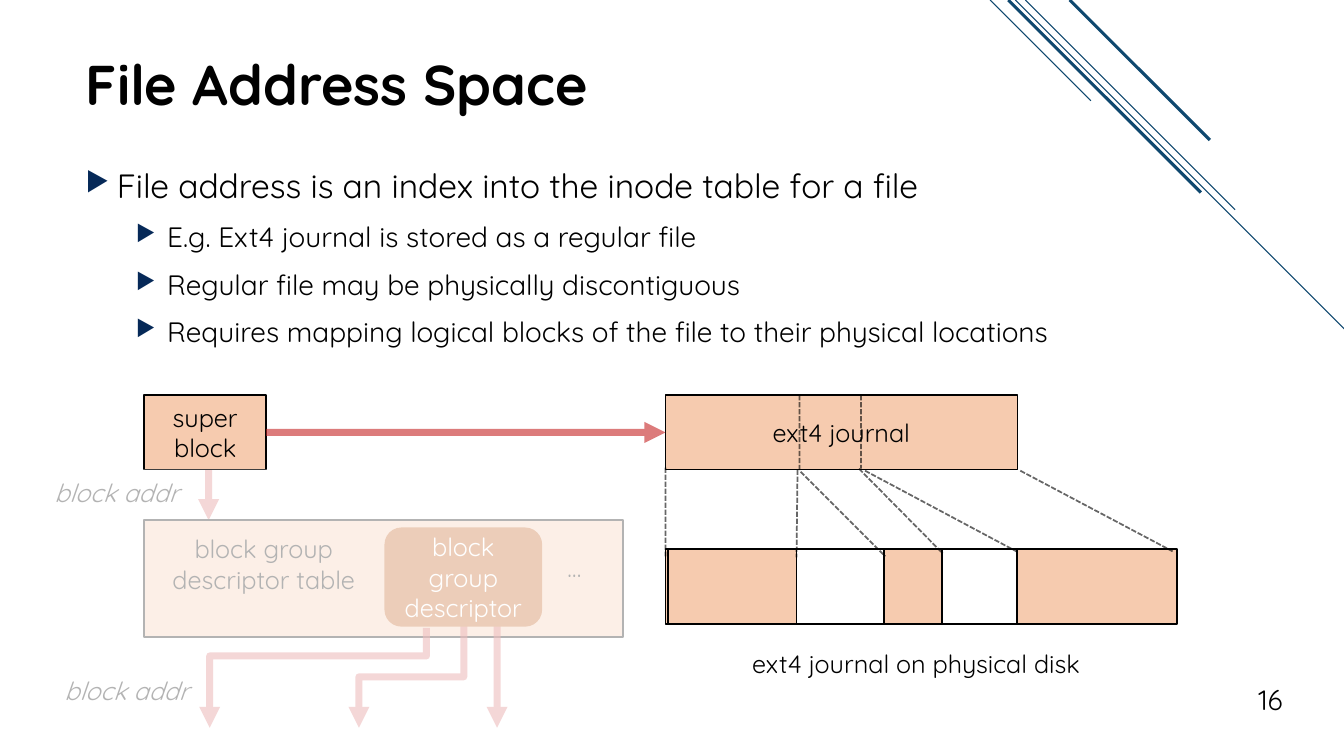
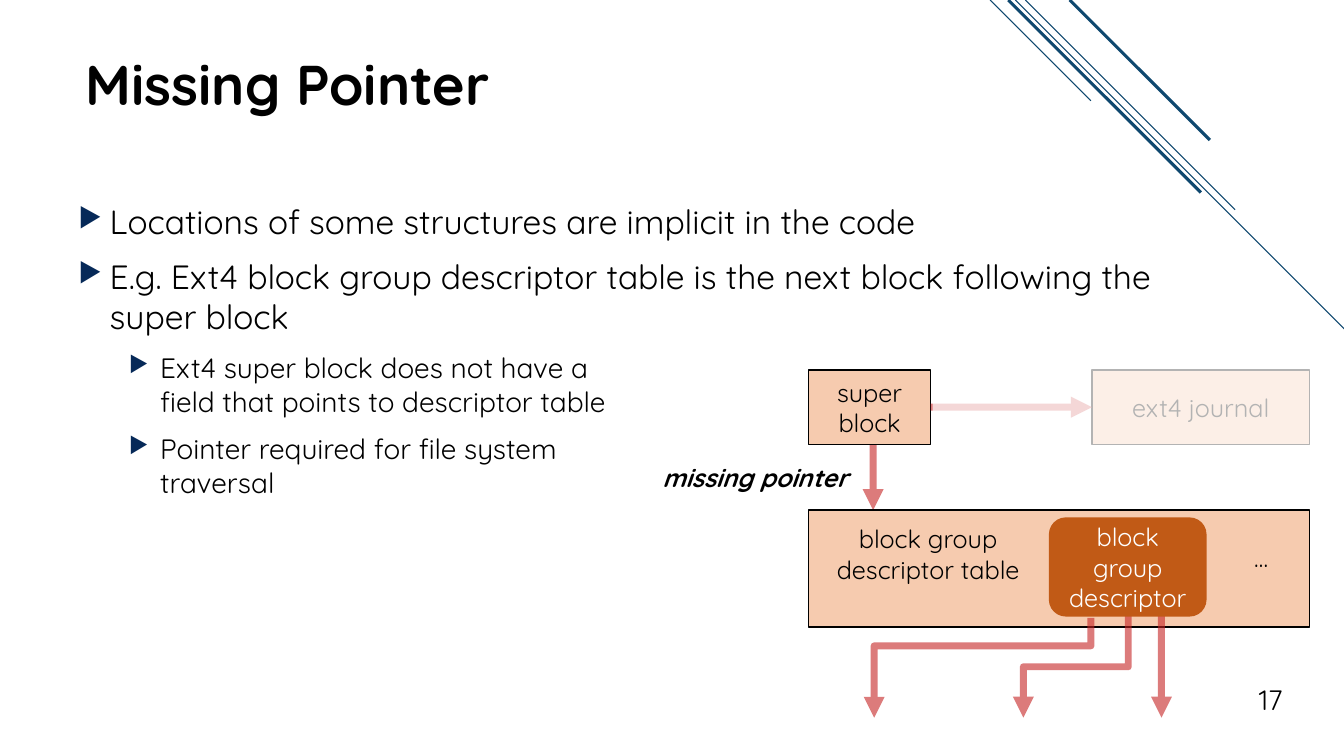
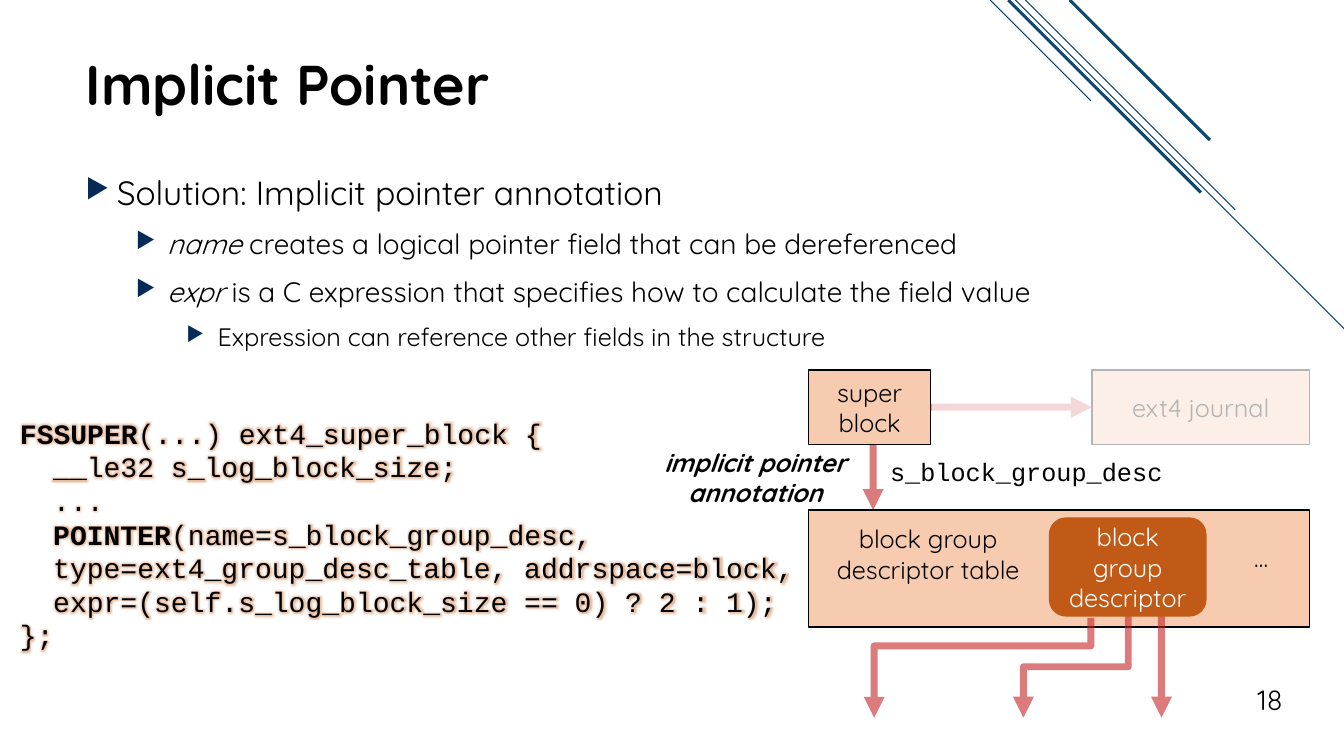
import dataclasses

import lxml.etree
import pptx
import pptx.dml.color
import pptx.enum.dml
import pptx.enum.shapes
import pptx.enum.text
import pptx.oxml.ns
import pptx.util

ALIGN = pptx.enum.text.PP_ALIGN
ANCHOR = pptx.enum.text.MSO_ANCHOR
FIT = pptx.enum.text.MSO_AUTO_SIZE
PRESET = pptx.enum.shapes.MSO_SHAPE
LINK = pptx.enum.shapes.MSO_CONNECTOR
TOP, LEFT, BOTTOM, RIGHT = range(4)


@dataclasses.dataclass(frozen=True)
class Theme:
    font: str = "Quicksand"
    code_font: str = "Courier New"
    ink: str = "000000"
    paper: str = "FFFFFF"
    block: str = "F6CBAF"
    descriptor: str = "C15A16"
    pointer: str = "C62324"
    stripe: str = "0F486F"
    bullet: str = "062958"
    title_size: int = 40
    level_sizes: tuple = (24, 20, 18)
    label_size: int = 18
    code_size: int = 20
    number_size: int = 20
    link_opacity: int = 60
    veil_opacity: int = 70


THEME = Theme()
SLIDE_SIZE = (13.33, 7.5)
TITLE_BOX = (0.75, 0, 11.25, 1.65)
NUMBER_BOX = (12, 6.62, 0.82, 0.53)
STRIPES = [(9.82, 1, 0.75), (10.07, 3.27, 0.75), (10.17, 2.08, 0.75),
           (10, 1.91, 2.25), (10.61, 1.39, 2.25)]
BLOCK_SIZE = (1.21, 0.74)

FILE_SPACE = {
    "number": 16, "title": "File Address Space", "body_box": (0.75, 1.59, 11.25, 5.09),
    "points": [
        (0, "File address is an index into the inode table for a file"),
        (1, "E.g. Ext4 journal is stored as a regular file"),
        (1, "Regular file may be physically discontiguous"),
        (1, "Requires mapping logical blocks of the file to their physical locations"),
    ],
    "super_at": (1.43, 3.92), "table_top": 5.16, "table_width": 4.75, "journal": (6.6, 3.49),
    "labels": [("block addr", (0.39, 4.67, 1.53, 0.43), "i"),
               ("block addr", (0.49, 6.63, 1.53, 0.43), "i")],
    "veil": (0.39, 4.66, 6.01, 2.67),
}
MISSING = {
    "number": 17, "title": "Missing Pointer", "body_box": (0.68, 1.94, 10.88, 4.68),
    "points": [
        (0, "Locations of some structures are implicit in the code"),
        (0, "E.g. Ext4 block group descriptor table is the next block following the super block"),
        (1, "Ext4 super block does not have a\nfield that points to descriptor table"),
        (1, "Pointer required for file system\ntraversal"),
    ],
    "super_at": (8.02, 3.67), "table_top": 5.06, "table_width": 4.97, "journal": (10.83, 2.16),
    "labels": [("missing pointer", (6.47, 4.41, 2.04, 0.65), "bi")],
    "veil": (9.25, 3.54, 3.86, 1.02),
}
IMPLICIT = {
    **MISSING,
    "number": 18, "title": "Implicit Pointer", "body_box": (0.75, 1.66, 11.25, 2.41),
    "points": [
        (0, "Solution: Implicit pointer annotation"),
        (1, [("name", "i"), (" creates a logical pointer field that can be dereferenced", "")]),
        (1, [("expr ", "i"),
             ("is a C expression that specifies how to calculate the field value", "")]),
        (2, "Expression can reference other fields in the structure"),
    ],
    "labels": [("implicit pointer\nannotation", (6.47, 4.41, 2.04, 0.65), "bi")],
    "veil": (9.24, 3.62, 3.97, 1.02),
}
CODE_BOX = (0.1, 4.08, 7.93, 2.46)
CODE_INDENT = 0.33
CODE = [
    (0, [("FSSUPER", "b"), ("(...) ext4_super_block {", "")]),
    (1, "__le32 s_log_block_size;"),
    (1, "..."),
    (1, [("POINTER", "b"), ("(name=s_block_group_desc,", "")]),
    (1, "type=ext4_group_desc_table, addrspace=block,"),
    (1, "expr=(self.s_log_block_size == 0) ? 2 : 1);"),
    (0, "};"),
]
FIELD_LABEL = ("s_block_group_desc", (8.73, 4.48, 2.92, 0.4))

DISK = (6.63, 5.45, 5.04, 0.74)
DISK_LABEL = ("ext4 journal on physical disk", (7.04, 6.34, 4.09, 0.49))
EXTENTS = [(6.6, 1.3), (8.77, 0.57), (10.09, 1.58)]
MAPPINGS = [
    ((7.94, 4.68), (8.78, 5.52)), ((8.58, 4.67), (10.08, 5.47)),
    ((8.52, 4.65), (9.35, 5.49)), ((10.12, 4.67), (11.63, 5.47)),
    ((6.6, 4.64), (6.6, 5.52)), ((7.91, 4.66), (7.9, 5.53)),
    ((7.93, 3.92), (7.93, 4.68)), ((8.54, 3.92), (8.54, 4.65)),
]


def inches(values):
    return [pptx.util.Inches(value) for value in values]


def rgb(colour):
    return pptx.dml.color.RGBColor.from_string(colour)


def add_xml(parent, tag, **attributes):
    return lxml.etree.SubElement(parent, pptx.oxml.ns.qn(tag), attributes)


def set_opacity(colour_element, percent):
    add_xml(colour_element, "a:alpha", val=str(percent * 1000))


def fill_paragraph(paragraph, content, size, style="", colour=THEME.ink, font=THEME.font):
    if isinstance(content, str):
        paragraph.text = content
        styles = [style] * len(paragraph.runs)
    else:
        for words, _ in content:
            paragraph.add_run().text = words
        styles = [run_style for _, run_style in content]
    for run, run_style in zip(paragraph.runs, styles):
        run.font.name = font
        run.font.size = pptx.util.Pt(size)
        run.font.color.rgb = rgb(colour)
        run.font.bold = "b" in run_style
        run.font.italic = "i" in run_style


def write(frame, text, size=THEME.label_size, align=ALIGN.CENTER, anchor=ANCHOR.MIDDLE,
          wrap=True, **look):
    frame.text = text
    frame.word_wrap = wrap
    frame.auto_size = FIT.NONE if wrap else FIT.SHAPE_TO_FIT_TEXT
    frame.vertical_anchor = anchor
    for paragraph in frame.paragraphs:
        paragraph.alignment = align
        fill_paragraph(paragraph, paragraph.text, size, **look)


def add_label(slide, text, box, **look):
    write(slide.shapes.add_textbox(*inches(box)).text_frame, text, **look)


def add_block(slide, box, text="", fill=THEME.block, line=THEME.ink, width=1,
              preset=PRESET.RECTANGLE, colour=THEME.ink):
    block = slide.shapes.add_shape(preset, *inches(box))
    block.shadow.inherit = False
    if fill:
        block.fill.solid()
        block.fill.fore_color.rgb = rgb(fill)
    else:
        block.fill.background()
    if line:
        block.line.color.rgb = rgb(line)
        block.line.width = pptx.util.Pt(width)
    else:
        block.line.fill.background()
    if text:
        write(block.text_frame, text, colour=colour)
    return block


def add_line(slide, start, end, colour, width, opacity=None, dashed=False, arrow=False,
             kind=LINK.STRAIGHT):
    line = slide.shapes.add_connector(kind, *inches((*start, *end)))
    line.line.color.rgb = rgb(colour)
    line.line.width = pptx.util.Pt(width)
    if dashed:
        line.line.dash_style = pptx.enum.dml.MSO_LINE.SQUARE_DOT
    properties = line.element.spPr
    if opacity:
        set_opacity(properties.xpath("./a:ln//a:srgbClr")[0], opacity)
    if arrow:
        add_xml(properties.find(pptx.oxml.ns.qn("a:ln")), "a:tailEnd", type="triangle")
    add_xml(properties, "a:effectLst")
    return line


def add_pointer(slide, start, end, kind=LINK.STRAIGHT):
    return add_line(slide, start, end, THEME.pointer, 5, THEME.link_opacity,
                    arrow=True, kind=kind)


def add_bent_pointer(slide, start, end, bend):
    middle_x, middle_y = (start[0] + end[0]) / 2, (start[1] + end[1]) / 2
    half_drop, half_run = (end[1] - start[1]) / 2, (start[0] - end[0]) / 2
    pointer = add_pointer(slide, (middle_x - half_drop, middle_y - half_run),
                          (middle_x + half_drop, middle_y + half_run), LINK.ELBOW)
    properties = pointer.element.spPr
    properties.xpath("./a:xfrm")[0].set("rot", "5400000")
    geometry = properties.xpath("./a:prstGeom")[0]
    for old_guides in geometry.xpath("./a:avLst"):
        geometry.remove(old_guides)
    add_xml(add_xml(geometry, "a:avLst"), "a:gd", name="adj1", fmla=f"val {round(bend * 100000)}")


def add_stripes(slide):
    layout_tree = slide.slide_layout.shapes.element
    for index, (x, reach, width) in enumerate(STRIPES):
        stripe = add_line(slide, (x, 0), (x + reach, reach), THEME.stripe, width)
        stripe.element.xpath(".//p:cNvPr")[0].set("id", str(20 + index))
        layout_tree.append(stripe.element)


def add_points(slide, box, points):
    frame = slide.shapes.add_textbox(*inches(box)).text_frame
    frame.word_wrap = True
    for index, (level, content) in enumerate(points):
        point = frame.paragraphs[0] if index == 0 else frame.add_paragraph()
        size = THEME.level_sizes[level]
        fill_paragraph(point, content, size)
        point.level = level
        point.space_before = pptx.util.Pt(size * 0.2)
        point.space_after = pptx.util.Pt(6)
        properties = point._p.get_or_add_pPr()
        hang = pptx.util.Inches(0.31)
        properties.set("marL", str(hang + level * pptx.util.Inches(0.5)))
        properties.set("indent", str(-hang))
        add_xml(add_xml(properties, "a:buClr"), "a:srgbClr", val=THEME.bullet)
        add_xml(properties, "a:buSzPct", val="80000")
        add_xml(properties, "a:buChar", char="▶")


def add_code(slide):
    frame = slide.shapes.add_textbox(*inches(CODE_BOX)).text_frame
    frame.word_wrap = True
    for index, (depth, content) in enumerate(CODE):
        statement = frame.paragraphs[0] if index == 0 else frame.add_paragraph()
        fill_paragraph(statement, content, THEME.code_size, font=THEME.code_font)
        indent = pptx.util.Inches(depth * CODE_INDENT)
        statement._p.get_or_add_pPr().set("marL", str(indent))
        for fill in statement._p.xpath("./a:r/a:rPr/a:solidFill"):
            effects = lxml.etree.Element(pptx.oxml.ns.qn("a:effectLst"))
            glow = add_xml(effects, "a:glow", rad=str(pptx.util.Pt(5)))
            set_opacity(add_xml(glow, "a:srgbClr", val=THEME.descriptor), 40)
            fill.addnext(effects)


def add_pointer_diagram(slide, content):
    x, y = content["super_at"]
    top, width = content["table_top"], content["table_width"]
    journal_x, journal_width = content["journal"]
    block_width, block_height = BLOCK_SIZE

    journal = add_block(slide, (journal_x, y, journal_width, block_height), "ext4 journal")
    add_pointer(slide, (x + 0.64, y + block_height), (x + 0.64, top))
    super_block = add_block(slide, (x, y, block_width, block_height), "super\nblock")
    journal_pointer = add_pointer(slide, (x + block_width, y + block_height / 2),
                                  (journal_x, y + block_height / 2))
    journal_pointer.begin_connect(super_block, RIGHT)
    journal_pointer.end_connect(journal, LEFT)

    add_block(slide, (x, top, width, 1.16))
    add_label(slide, "block group descriptor table", (x + 0.09, top + 0.09, 2.19, 0.69))
    tip = top + 2.06
    add_bent_pointer(slide, (x + 2.8, top + 1.07), (x + 0.65, tip), 0.28)
    add_bent_pointer(slide, (x + 3.17, top + 1.05), (x + 2.13, tip), 0.5)
    add_pointer(slide, (x + 3.5, top + 1.04), (x + 3.5, tip))
    add_label(slide, "…", (x + width - 0.65, top + 0.27, 0.45, 0.4),
              align=ALIGN.LEFT, anchor=ANCHOR.TOP, wrap=False)
    add_block(slide, (x + 2.39, top + 0.08, 1.55, 0.97), "block group descriptor",
              THEME.descriptor, THEME.descriptor, preset=PRESET.ROUNDED_RECTANGLE,
              colour=THEME.paper)

    for text, box, style in content["labels"]:
        add_label(slide, text, box, style=style)
    veil = add_block(slide, content["veil"], fill=THEME.paper, line=None)
    set_opacity(veil.element.spPr.xpath("./a:solidFill/a:srgbClr")[0], THEME.veil_opacity)


def add_disk(slide):
    text, box = DISK_LABEL
    add_block(slide, box, text, fill=THEME.paper, line=None)
    _, top, _, height = DISK
    for x, width in EXTENTS:
        add_block(slide, (x, top, width, height), width=1.25)
    add_block(slide, DISK, fill=None, width=1.5)
    for start, end in MAPPINGS:
        add_line(slide, start, end, THEME.ink, 1.25, THEME.link_opacity, dashed=True)


def add_content_slide(deck, content):
    slide = deck.slides.add_slide(deck.slide_layouts[5])
    title = slide.shapes.title
    title.left, title.top, title.width, title.height = inches(TITLE_BOX)
    write(title.text_frame, content["title"], THEME.title_size, ALIGN.LEFT, style="b")
    add_points(slide, content["body_box"], content["points"])
    add_label(slide, str(content["number"]), NUMBER_BOX, size=THEME.number_size,
              align=ALIGN.RIGHT, anchor=ANCHOR.BOTTOM)
    add_pointer_diagram(slide, content)
    return slide


def main():
    deck = pptx.Presentation()
    deck.slide_width, deck.slide_height = inches(SLIDE_SIZE)
    file_space, _, implicit = [add_content_slide(deck, content)
                               for content in (FILE_SPACE, MISSING, IMPLICIT)]
    add_stripes(file_space)
    add_disk(file_space)
    add_code(implicit)
    text, box = FIELD_LABEL
    add_label(implicit, text, box, align=ALIGN.LEFT, anchor=ANCHOR.TOP, wrap=False,
              font=THEME.code_font)
    deck.save("out.pptx")


if __name__ == "__main__":
    main()
